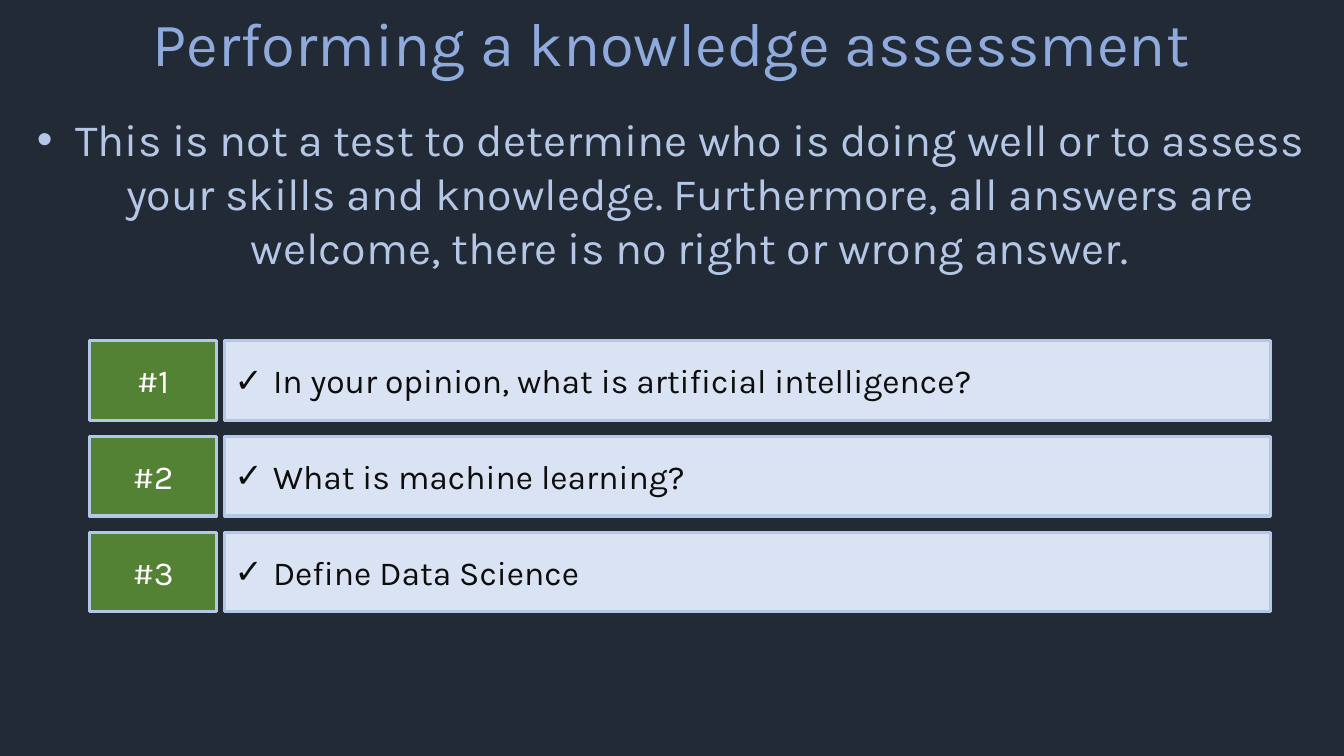
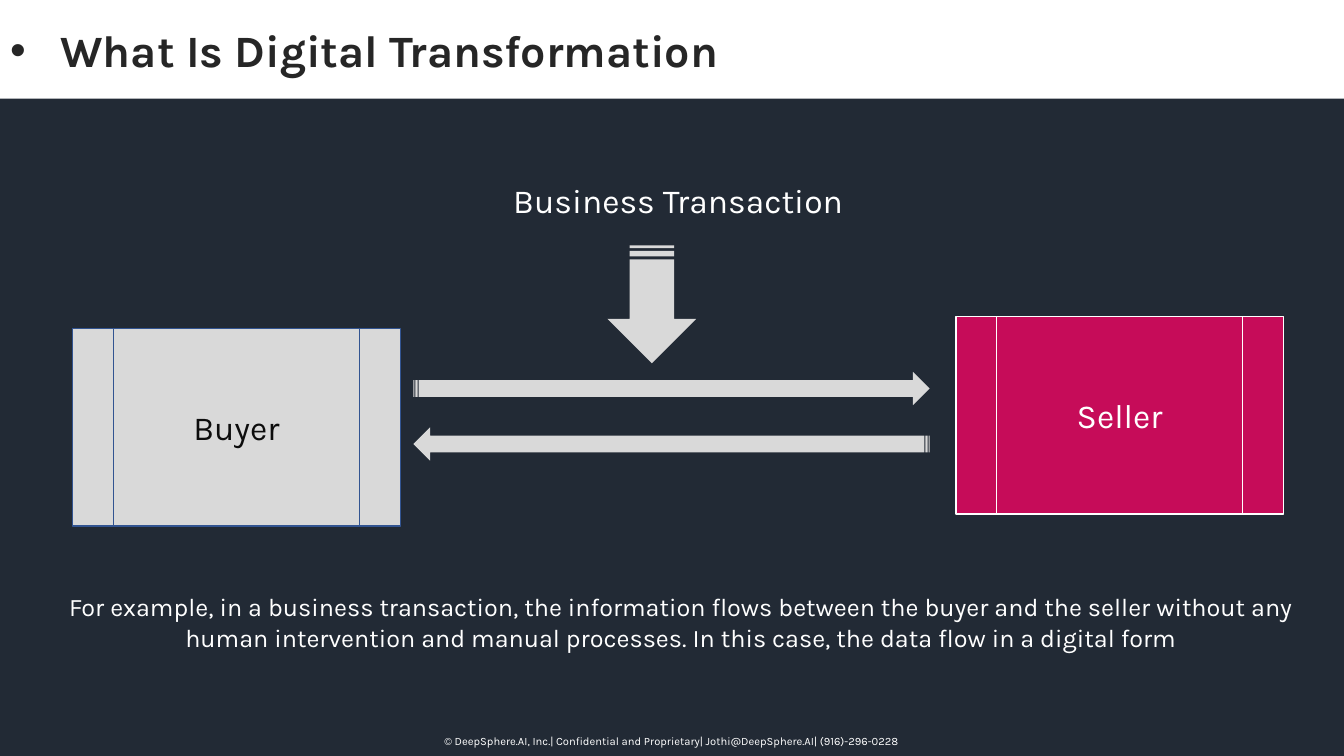
"""Build two slides: a knowledge assessment and a digital transformation diagram."""
from lxml import etree
from pptx import Presentation
from pptx.dml.color import RGBColor
from pptx.enum.shapes import MSO_SHAPE
from pptx.enum.text import MSO_ANCHOR, MSO_AUTO_SIZE, PP_ALIGN
from pptx.oxml.ns import qn
from pptx.util import Pt

PX = 9144
SLIDE_WIDTH, SLIDE_HEIGHT = 1333, 750
FONT = "Karla"
BULLET_FONT = "Arial"

NAVY = RGBColor(0x22, 0x2A, 0x35)
TITLE_BLUE = RGBColor(0x8F, 0xAA, 0xDC)
LIGHT_BLUE = RGBColor(0xB4, 0xC7, 0xE7)
PALE_BLUE = RGBColor(0xDA, 0xE3, 0xF3)
LINE_BLUE = RGBColor(0x32, 0x54, 0x91)
GREEN = RGBColor(0x54, 0x82, 0x35)
CRIMSON = RGBColor(0xC6, 0x0C, 0x59)
GRAY = RGBColor(0xD9, 0xD9, 0xD9)
CHARCOAL = RGBColor(0x26, 0x26, 0x26)
BLACK = RGBColor(0x0D, 0x0D, 0x0D)
WHITE = RGBColor(0xFF, 0xFF, 0xFF)

RECTANGLE = MSO_SHAPE.RECTANGLE
PROCESS = MSO_SHAPE.FLOWCHART_PREDEFINED_PROCESS
STRIPED_ARROW = MSO_SHAPE.STRIPED_RIGHT_ARROW
LEFT, CENTER = PP_ALIGN.LEFT, PP_ALIGN.CENTER
TOP, MIDDLE = MSO_ANCHOR.TOP, MSO_ANCHOR.MIDDLE
NO_AUTOFIT = MSO_AUTO_SIZE.NONE


def write_text(shape, text, box=None, size=24, color=WHITE, bold=False,
               align=CENTER, anchor=MIDDLE, bullet=None, indent=38):
    if box:
        shape.left, shape.top, shape.width, shape.height = [
            length * PX for length in box]
    frame = shape.text_frame
    frame.word_wrap = True
    frame.auto_size = NO_AUTOFIT
    frame.vertical_anchor = anchor
    frame.text = text
    paragraph = frame.paragraphs[0]
    paragraph.alignment = align
    paragraph.space_before = Pt(0)
    if bullet:
        properties = paragraph._p.get_or_add_pPr()
        properties.set("marL", str(indent * PX))
        properties.set("indent", str(-indent * PX))
        etree.SubElement(properties, qn("a:buFont"), typeface=BULLET_FONT)
        etree.SubElement(properties, qn("a:buChar"), char=bullet)
    font = paragraph.runs[0].font
    font.name = FONT
    font.size = Pt(size)
    font.bold = bold
    font.color.rgb = color


def add_box(slide, geometry, box, fill, line=None, line_width=1, rotation=0):
    shape = slide.shapes.add_shape(geometry, *[length * PX for length in box])
    shape.shadow.inherit = False
    shape.rotation = rotation
    shape.fill.solid()
    shape.fill.fore_color.rgb = fill
    if line is None:
        shape.line.fill.background()
    else:
        shape.line.color.rgb = line
        shape.line.width = Pt(line_width)
    return shape


presentation = Presentation()
presentation.slide_width = SLIDE_WIDTH * PX
presentation.slide_height = SLIDE_HEIGHT * PX
background = presentation.slide_master.background.fill
background.solid()
background.fore_color.rgb = NAVY
content_layout = presentation.slide_layouts[1]
title_layout = presentation.slide_layouts[5]

slide = presentation.slides.add_slide(content_layout)
write_text(slide.shapes.title, "Performing a knowledge assessment",
           box=(0, 0, SLIDE_WIDTH, 84), size=44, color=TITLE_BLUE, anchor=TOP)
write_text(slide.placeholders[1],
           "This is not a test to determine who is doing well or to assess your "
           "skills and knowledge. Furthermore, all answers are welcome, there is "
           "no right or wrong answer.",
           box=(7, 106, 1318, 172), size=32, color=LIGHT_BLUE, anchor=TOP,
           bullet="•")

questions = [
    "In your opinion, what is artificial intelligence?",
    "What is machine learning?",
    "Define Data Science",
]
for index, question in enumerate(questions):
    row_top = 338 + 95 * index
    number_box = add_box(slide, RECTANGLE, (89, row_top, 126, 79), GREEN,
                         line=LIGHT_BLUE, line_width=2.25)
    write_text(number_box, f"#{index + 1}")
    question_box = add_box(slide, RECTANGLE, (223, row_top, 1037, 79), PALE_BLUE,
                           line=LIGHT_BLUE, line_width=2.25)
    write_text(question_box, question, color=BLACK, align=LEFT, bullet="✓")

slide = presentation.slides.add_slide(title_layout)
title = slide.shapes.title
title_band = add_box(slide, RECTANGLE, (0, 0, SLIDE_WIDTH, 98), WHITE)
title._element.addprevious(title_band._element)
write_text(title, "What Is Digital Transformation", box=(0, 18, 1244, 64),
           size=32, color=CHARCOAL, bold=True, align=LEFT, anchor=TOP,
           bullet="•", indent=50)

parties = [
    ("Buyer", 72, 326, GRAY, LINE_BLUE, BLACK),
    ("Seller", 948, 314, CRIMSON, WHITE, WHITE),
]
for name, left, top, fill, line, color in parties:
    party_box = add_box(slide, PROCESS, (left, top, 325, 196), fill, line=line)
    write_text(party_box, name, color=color)

arrows = [
    ((410, 369, 512, 33), 0),
    ((410, 424, 512, 33), 180),
    ((588, 258, 117, 88), 90),
]
for box, rotation in arrows:
    add_box(slide, STRIPED_ARROW, box, GRAY, rotation=rotation)

captions = [
    ("Business Transaction", (72, 161, 1201, 75), 24, MIDDLE),
    ("For example, in a business transaction, the information flows between the "
     "buyer and the seller without any human intervention and manual processes. "
     "In this case, the data flow in a digital form",
     (18, 582, 1315, 71), 18, TOP),
    ("© DeepSphere.AI, Inc.| Confidential and Proprietary| "
     "Jothi@DeepSphere.AI| (916)-296-0228",
     (0, 724, SLIDE_WIDTH, 24), 8, TOP),
]
for text, box, size, anchor in captions:
    caption = slide.shapes.add_textbox(0, 0, 0, 0)
    write_text(caption, text, box=box, size=size, anchor=anchor)

presentation.save("out.pptx")
